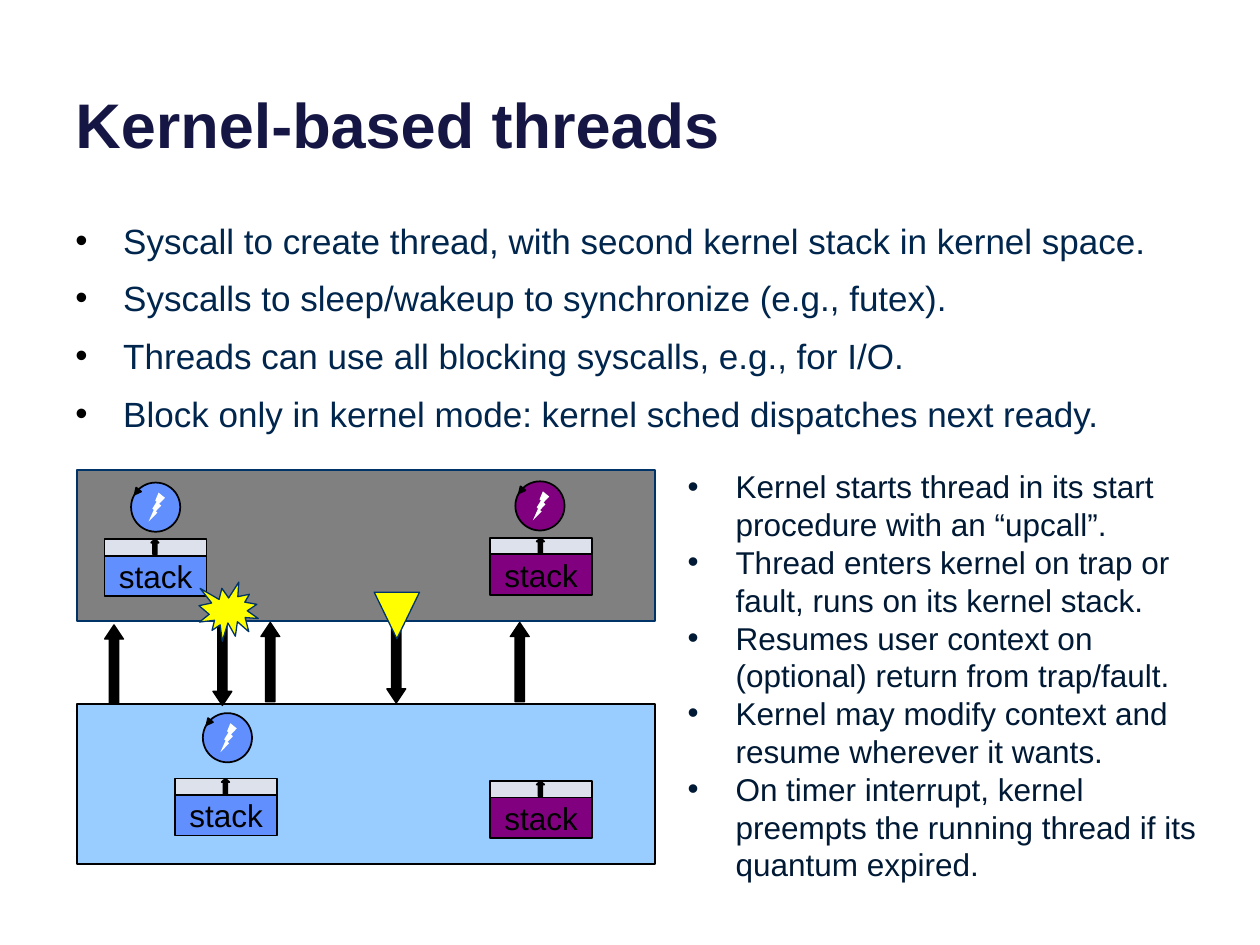
from lxml import etree
from pptx import Presentation
from pptx import util as u
from pptx.dml.color import RGBColor
from pptx.enum import shapes, text
from pptx.oxml.ns import qn

Inches = u.Inches
Kind = shapes.MSO_SHAPE
BLUE, PURPLE, BLACK, NAVY, YELLOW = "618FFD", "800080", "000000", "003367", "FFFF00"

SYSCALL_POINTS = [
    "Syscall to create thread, with second kernel stack in kernel space.",
    "Syscalls to sleep/wakeup to synchronize (e.g., futex).",
    "Threads can use all blocking syscalls, e.g., for I/O.",
    "Block only in kernel mode: kernel sched dispatches next ready.",
]
KERNEL_POINTS = [
    "Kernel starts thread in its start procedure with an “upcall”.",
    "Thread enters kernel on trap or fault, runs on its kernel stack.",
    "Resumes user context on (optional) return from trap/fault.",
    "Kernel may modify context and resume wherever it wants.",
    "On timer interrupt, kernel preempts the running thread if its quantum expired.",
]


def color(value):
    return RGBColor.from_string(value)


def set_all(target, **values):
    for name, value in values.items():
        setattr(target, name, value)


def set_font(font, size, value, bold=False):
    set_all(font, name="Arial", size=u.Pt(size), bold=bold)
    font.color.rgb = color(value)


def add_shape(page, kind, box, fill, line=BLACK, weight=1, flip=None, adjust=()):
    """Draw a preset shape; flip is "flipH" or "flipV"."""
    shape = page.shapes.add_shape(kind, *map(Inches, box))
    shape.shadow.inherit = False
    shape.fill.solid()
    shape.fill.fore_color.rgb = color(fill)
    if line:
        shape.line.color.rgb = color(line)
        shape.line.width = u.Pt(weight)
    else:
        shape.line.fill.background()
    if flip:
        shape.element.spPr.find(qn("a:xfrm")).set(flip, "1")
    for index, value in enumerate(adjust):
        shape.adjustments[index] = value
    return shape


def add_text_frame(page, box, anchor=text.MSO_ANCHOR.TOP):
    frame = page.shapes.add_textbox(*map(Inches, box)).text_frame
    set_all(frame, word_wrap=True, vertical_anchor=anchor)
    return frame


def add_title(page, box, words):
    para = add_text_frame(page, box, text.MSO_ANCHOR.BOTTOM).paragraphs[0]
    para.text = words
    set_font(para.font, 36, "161645", bold=True)


def add_bullets(page, box, points, size, value, bullet_color, gap=0):
    frame = add_text_frame(page, box)
    for index, point in enumerate(points):
        para = frame.add_paragraph() if index else frame.paragraphs[0]
        para.text = point
        props = para._p.get_or_add_pPr()
        props.set("marL", str(Inches(0.38)))
        props.set("indent", str(-Inches(0.38)))
        tint = etree.SubElement(props, qn("a:buClr"))
        etree.SubElement(tint, qn("a:srgbClr")).set("val", bullet_color)
        etree.SubElement(props, qn("a:buFont")).set("typeface", "Arial")
        etree.SubElement(props, qn("a:buChar")).set("char", "•")
        set_font(para.font, size, value)
        para.line_spacing = u.Pt(size * 1.2)
        if index:
            para.space_before = u.Pt(gap)


def add_thread(page, left, top, fill):
    """A running thread: a circle with a bolt and an arrow tip on its rim."""
    add_shape(page, Kind.OVAL, (left, top, 0.39, 0.39), fill)
    add_shape(page, Kind.LIGHTNING_BOLT, (left + 0.14, top + 0.08, 0.13, 0.23),
              "FFFFFF", line=None, flip="flipH")
    tip = add_shape(page, Kind.ISOSCELES_TRIANGLE,
                    (left + 0.02, top + 0.05, 0.05, 0.05), BLACK)
    tip.rotation = 219


def add_stack(page, left, top, fill):
    add_shape(page, Kind.FLOWCHART_PROCESS, (left, top, 0.81, 0.13), "DDE1EB")
    body = add_shape(page, Kind.FLOWCHART_PROCESS, (left, top + 0.13, 0.81, 0.32), fill)
    set_all(body.text_frame, word_wrap=False, vertical_anchor=text.MSO_ANCHOR.MIDDLE)
    para = body.text_frame.paragraphs[0]
    set_all(para, text="stack", alignment=text.PP_ALIGN.CENTER)
    set_font(para.font, 18, BLACK)
    add_shape(page, Kind.UP_ARROW, (left + 0.37, top, 0.06, 0.12), BLACK,
              adjust=(0.5, 0.46))


def add_diagram(page, left, top):
    """Kernel space above user space, with the crossings between them."""
    add_shape(page, Kind.RECTANGLE, (left, top, 4.59, 1.2), "808080", NAVY, 1.5)
    add_shape(page, Kind.FLOWCHART_PROCESS, (left, top + 1.86, 4.59, 1.27), "99CCFF")
    for x, y, fill in [(3.48, 0.09, PURPLE), (1, 1.93, BLUE), (0.43, 0.1, BLUE)]:
        add_thread(page, left + x, top + y, fill)
    for x, y, fill in [(0.22, 0.55, BLUE), (0.78, 2.45, BLUE),
                       (3.28, 2.47, PURPLE), (3.28, 0.54, PURPLE)]:
        add_stack(page, left + x, top + y, fill)
    for x, y, flip in [(0.22, 1.23, None), (1.08, 1.24, "flipV"), (1.46, 1.21, None),
                       (2.46, 1.22, "flipV"), (3.44, 1.21, None)]:
        add_shape(page, Kind.UP_ARROW, (left + x, top + y, 0.15, 0.63), BLACK,
                  weight=0.75, flip=flip, adjust=(0.5, 0.75))
    add_shape(page, Kind.EXPLOSION1, (left + 0.97, top + 0.89, 0.47, 0.47),
              YELLOW, NAVY, 0.75)
    add_shape(page, Kind.FLOWCHART_MERGE, (left + 2.36, top + 0.97, 0.36, 0.37),
              YELLOW, NAVY, 0.75)


def main():
    deck = Presentation()
    set_all(deck, slide_width=Inches(10), slide_height=Inches(7.5))
    page = deck.slides.add_slide(deck.slide_layouts[6])
    add_title(page, (0.5, -0.37, 9, 1.7), "Kernel-based threads")
    add_bullets(page, (0.5, 1.69, 9, 1.63), SYSCALL_POINTS, 20, "00264D", BLACK, gap=9)
    add_diagram(page, 0.61, 3.73)
    add_bullets(page, (5.36, 3.66, 4.27, 3.25), KERNEL_POINTS, 18, "001934", "001934")
    deck.save("out.pptx")


if __name__ == "__main__":
    main()
